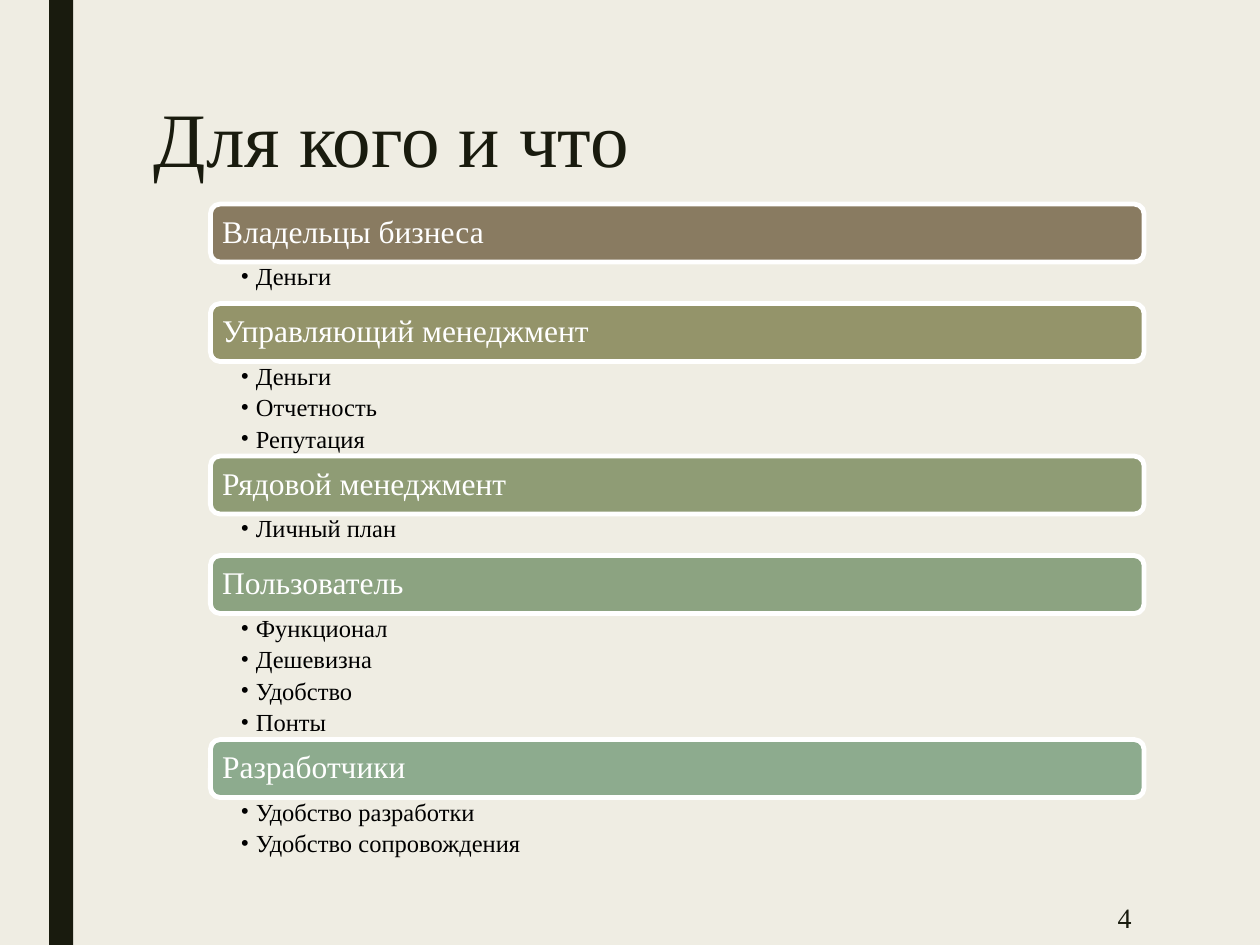
from lxml import etree
from pptx import Presentation
from pptx import util as u
from pptx.dml.color import RGBColor
from pptx.enum import shapes, text
from pptx.oxml import ns

COLORS = {
    "background": "EFEDE3",
    "dark": "191B0E",
    "white": "FFFFFF",
    "black": "000000",
    "owners": "897B61",
    "executives": "94946A",
    "managers": "8F9C75",
    "users": "8CA381",
    "developers": "8DAB8E",
}
FONT = "Times New Roman"
HEADER_HEIGHT = 0.46
LINE_HEIGHT = 0.25
MIN_LIST_HEIGHT = 0.33

AUDIENCES = [
    ("Владельцы бизнеса", "owners", ["Деньги"]),
    ("Управляющий менеджмент", "executives", ["Деньги", "Отчетность", "Репутация"]),
    ("Рядовой менеджмент", "managers", ["Личный план"]),
    ("Пользователь", "users", ["Функционал", "Дешевизна", "Удобство", "Понты"]),
    ("Разработчики", "developers", ["Удобство разработки", "Удобство сопровождения"]),
]


def color(name):
    return RGBColor.from_string(COLORS[name])


def place(shape, left, top, width, height):
    shape.left, shape.top = u.Inches(left), u.Inches(top)
    shape.width, shape.height = u.Inches(width), u.Inches(height)


def add_bullet(paragraph):
    properties = paragraph._p.get_or_add_pPr()
    properties.set("marL", str(u.Inches(0.12)))
    properties.set("indent", str(-u.Inches(0.12)))
    etree.SubElement(properties, ns.qn("a:buFont")).set("typeface", FONT)
    etree.SubElement(properties, ns.qn("a:buChar")).set("char", "•")


def write(shape, lines, size, ink="dark", align=text.PP_ALIGN.LEFT,
          anchor=text.MSO_ANCHOR.TOP, insets=(0.1, 0.05, 0.1, 0.05),
          line_spacing=0.9, space_after=0, bullets=False):
    frame = shape.text_frame
    frame.word_wrap = True
    frame.auto_size = text.MSO_AUTO_SIZE.NONE
    frame.vertical_anchor = anchor
    (frame.margin_left, frame.margin_top,
     frame.margin_right, frame.margin_bottom) = map(u.Inches, insets)
    frame.text = "\n".join(lines)
    for paragraph in frame.paragraphs:
        paragraph.alignment = align
        paragraph.line_spacing = line_spacing
        paragraph.space_before = u.Pt(0)
        paragraph.space_after = u.Pt(space_after)
        if bullets:
            paragraph.level = 1
            add_bullet(paragraph)
        font = paragraph.runs[0].font
        font.name, font.size = FONT, u.Pt(size)
        font.color.rgb = color(ink)


def add_box(slide, kind, left, top, width, height, fill):
    shape = slide.shapes.add_shape(kind, *map(u.Inches, (left, top, width, height)))
    shape.shadow.inherit = False
    shape.fill.solid()
    shape.fill.fore_color.rgb = color(fill)
    shape.line.fill.background()
    return shape


def add_title(slide, left, top, width, height):
    title = slide.shapes.title
    place(title, left, top, width, height)
    write(title, ["Для кого и что"], 44, anchor=text.MSO_ANCHOR.BOTTOM, line_spacing=0.89)


def add_page_number(slide, left, top, width, height):
    box = slide.shapes.add_textbox(*map(u.Inches, (left, top, width, height)))
    write(box, ["4"], 16, align=text.PP_ALIGN.RIGHT,
          anchor=text.MSO_ANCHOR.MIDDLE, line_spacing=1.0)


def add_audience(slide, left, top, width, name, fill, needs):
    header = add_box(slide, shapes.MSO_SHAPE.ROUNDED_RECTANGLE,
                     left, top, width, HEADER_HEIGHT, fill)
    header.line.color.rgb = color("white")
    header.line.width = u.Pt(2.75)
    write(header, [name], 18, ink="white", anchor=text.MSO_ANCHOR.MIDDLE, insets=(0.07,) * 4)

    list_height = max(LINE_HEIGHT * len(needs), MIN_LIST_HEIGHT)
    box = slide.shapes.add_textbox(
        *map(u.Inches, (left, top + HEADER_HEIGHT, width, list_height)))
    write(box, needs, 14, ink="black", insets=(0.24, 0.02, 0.14, 0.02),
          space_after=2.8, bullets=True)
    return HEADER_HEIGHT + list_height


def add_audience_list(slide, left, top, width):
    for name, fill, needs in AUDIENCES:
        top += add_audience(slide, left, top, width, name, fill, needs)


def main():
    presentation = Presentation()
    presentation.slide_width = u.Inches(10)
    presentation.slide_height = u.Inches(7.5)
    slide = presentation.slides.add_slide(presentation.slide_layouts.get_by_name("Title Only"))
    slide.background.fill.solid()
    slide.background.fill.fore_color.rgb = color("background")

    add_box(slide, shapes.MSO_SHAPE.RECTANGLE, 0.39, 0, 0.19, 7.5, "dark")
    add_title(slide, 1.12, 0.75, 7.88, 0.76)
    add_page_number(slide, 7.77, 7.06, 1.31, 0.44)
    add_audience_list(slide, 1.67, 1.62, 7.41)
    presentation.save("out.pptx")


if __name__ == "__main__":
    main()
